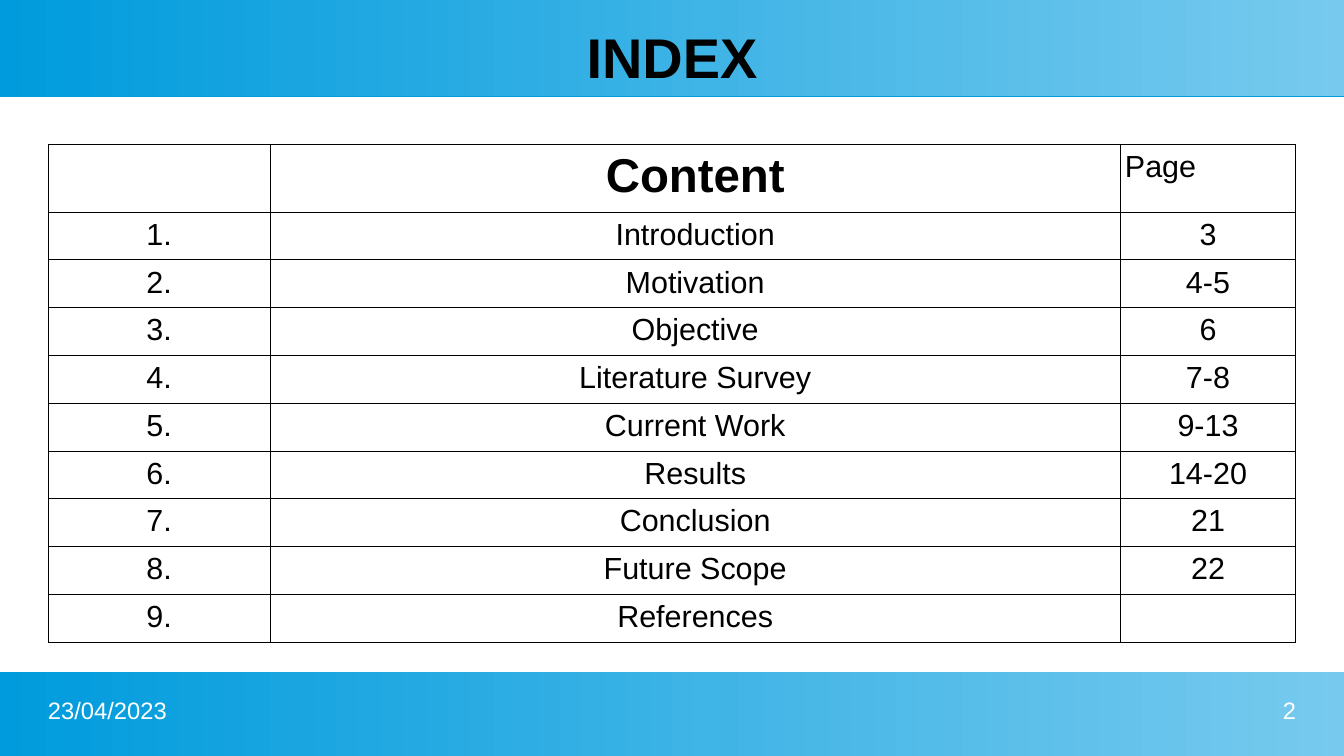
"""Build the index slide with a bordered contents table."""
from lxml import etree
from pptx import Presentation
from pptx.dml.color import RGBColor
from pptx.enum.shapes import MSO_SHAPE
from pptx.enum.text import MSO_ANCHOR, PP_ALIGN
from pptx.oxml.ns import qn
from pptx.util import Pt

RECT = MSO_SHAPE.RECTANGLE
LEFT, CENTER, RIGHT = PP_ALIGN.LEFT, PP_ALIGN.CENTER, PP_ALIGN.RIGHT
TOP, MIDDLE = MSO_ANCHOR.TOP, MSO_ANCHOR.MIDDLE
WIDTH, HEIGHT = 793.44, 446.4
MARGIN = 28.35
CONTENT_WIDTH = WIDTH - 2 * MARGIN


def rgb(value):
    return RGBColor.from_string(value)


class Deck:
    font = "Arial"
    black, white = "000000", "FFFFFF"
    blue, light_blue = "009BDD", "77CAEE"
    border = 0.57

    def __init__(self):
        self.prs = Presentation()
        self.prs.slide_width, self.prs.slide_height = Pt(WIDTH), Pt(HEIGHT)
        self.s = self.prs.slides.add_slide(self.prs.slide_layouts[6])

    def band(self, y, h):
        sp = self.s.shapes.add_shape(RECT, 0, Pt(y), Pt(WIDTH), Pt(h))
        sp.line.fill.background()
        sp.fill.gradient()
        sp.fill.gradient_angle = 180
        for stop, color in zip(sp.fill.gradient_stops, (self.light_blue, self.blue)):
            stop.color.rgb = rgb(color)
        sp.shadow.inherit = False
        effects = sp.element.spPr.find(qn("a:effectLst"))
        shadow = etree.SubElement(effects, qn("a:outerShdw"), blurRad="0",
                                  dist=str(Pt(0.9)), dir="5400000", rotWithShape="0")
        etree.SubElement(shadow, qn("a:srgbClr"), val=self.blue)

    def set_text(self, tf, text, size, color, align, bold=False):
        tf.text = text
        p = tf.paragraphs[0]
        p.alignment = align
        for r in p.runs:
            r.font.name, r.font.size, r.font.bold = self.font, Pt(size), bold
            r.font.color.rgb = rgb(color)

    def text(self, x, y, w, h, text, size, color, align, bold=False, anchor=TOP):
        tf = self.s.shapes.add_textbox(Pt(x), Pt(y), Pt(w), Pt(h)).text_frame
        tf.word_wrap = True
        tf.vertical_anchor = anchor
        tf.margin_left = tf.margin_right = tf.margin_top = tf.margin_bottom = 0
        self.set_text(tf, text, size, color, align, bold)

    def cell_borders(self, cell):
        tcPr = cell._tc.get_or_add_tcPr()
        for side in ("a:lnL", "a:lnR", "a:lnT", "a:lnB"):
            ln = etree.SubElement(tcPr, qn(side), w=str(Pt(self.border)))
            fill = etree.SubElement(ln, qn("a:solidFill"))
            etree.SubElement(fill, qn("a:srgbClr"), val=self.black)

    def table(self, x, y, widths, heights, rows):
        table = self.s.shapes.add_table(len(rows), len(widths), Pt(x), Pt(y),
                                        Pt(sum(widths)), Pt(sum(heights))).table
        table.first_row = table.horz_banding = False
        for col, w in zip(table.columns, widths):
            col.width = Pt(w)
        for row, h, texts in zip(table.rows, heights, rows):
            row.height = Pt(h)
            for cell, text in zip(row.cells, texts):
                cell.margin_left = cell.margin_right = Pt(2.83)
                cell.margin_top = cell.margin_bottom = Pt(3.3)
                self.cell_borders(cell)
                cell.fill.background()
                heading = text == "Content"
                align = LEFT if text == "Page" else CENTER
                self.set_text(cell.text_frame, text, 28 if heading else 18,
                              self.black, align, heading)


def main():
    topics = [("Introduction", "3"), ("Motivation", "4-5"), ("Objective", "6"),
              ("Literature Survey", "7-8"), ("Current Work", "9-13"),
              ("Results", "14-20"), ("Conclusion", "21"), ("Future Scope", "22"),
              ("References", "")]
    rows = [("", "Content", "Page")]
    rows += [(f"{n}.", topic, page) for n, (topic, page) in enumerate(topics, 1)]

    deck = Deck()
    deck.band(0, 56.7)
    deck.band(396.85, HEIGHT - 396.85)
    deck.text(MARGIN, 14.4, CONTENT_WIDTH, 37.4, "INDEX", 33, deck.black, CENTER,
              bold=True, anchor=MIDDLE)
    deck.table(MARGIN, 85.04, [131.2, 501.8, 103.7],
               [38.3] + [27.36] * len(topics), rows)
    footer_width = 184.3
    deck.text(WIDTH - MARGIN - footer_width, 411.1, footer_width, 28.1, "2", 14,
              deck.white, RIGHT)
    deck.text(MARGIN, 411.1, footer_width, 28.1, "23/04/2023", 14, deck.white, LEFT)
    deck.prs.save("out.pptx")


if __name__ == "__main__":
    main()
